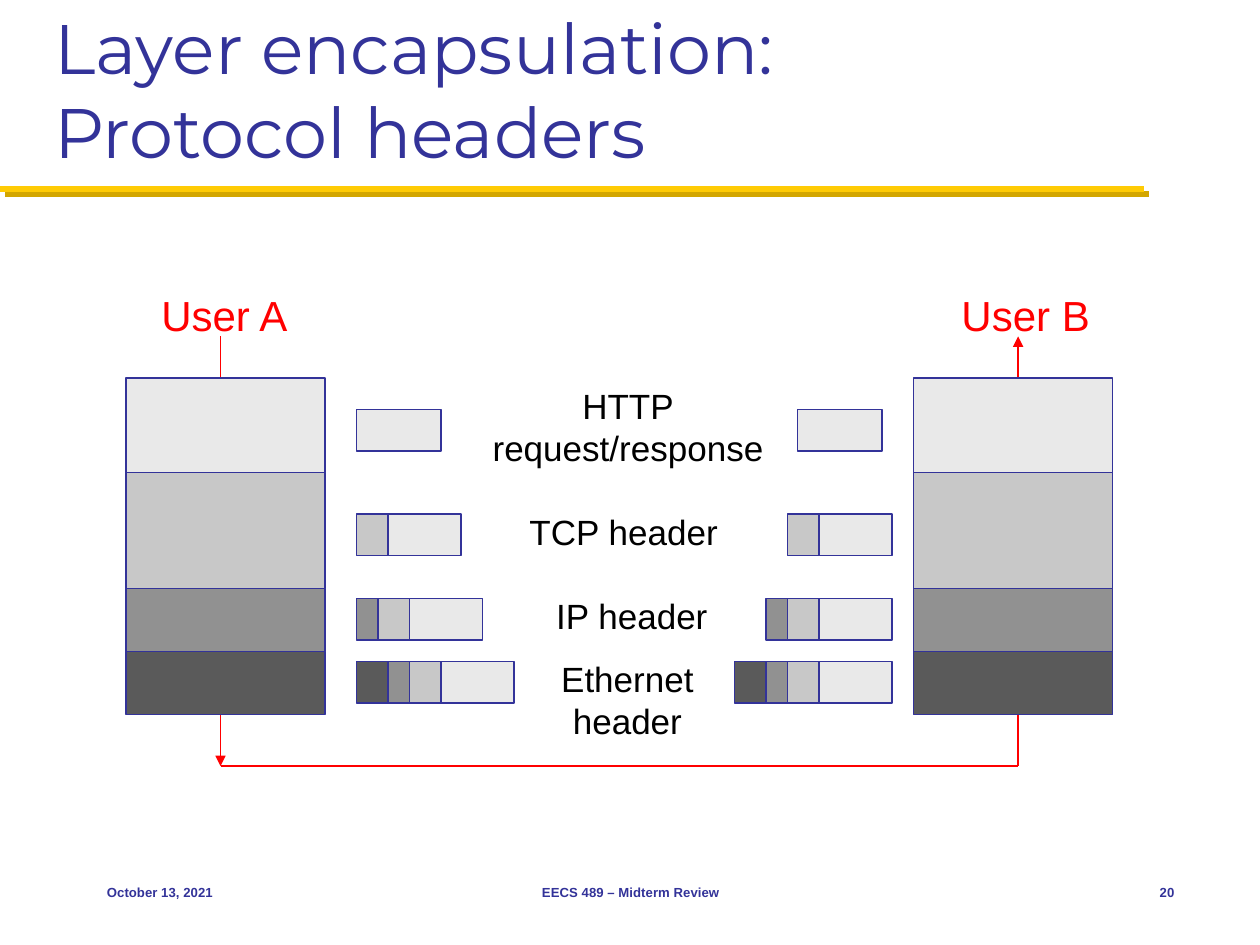
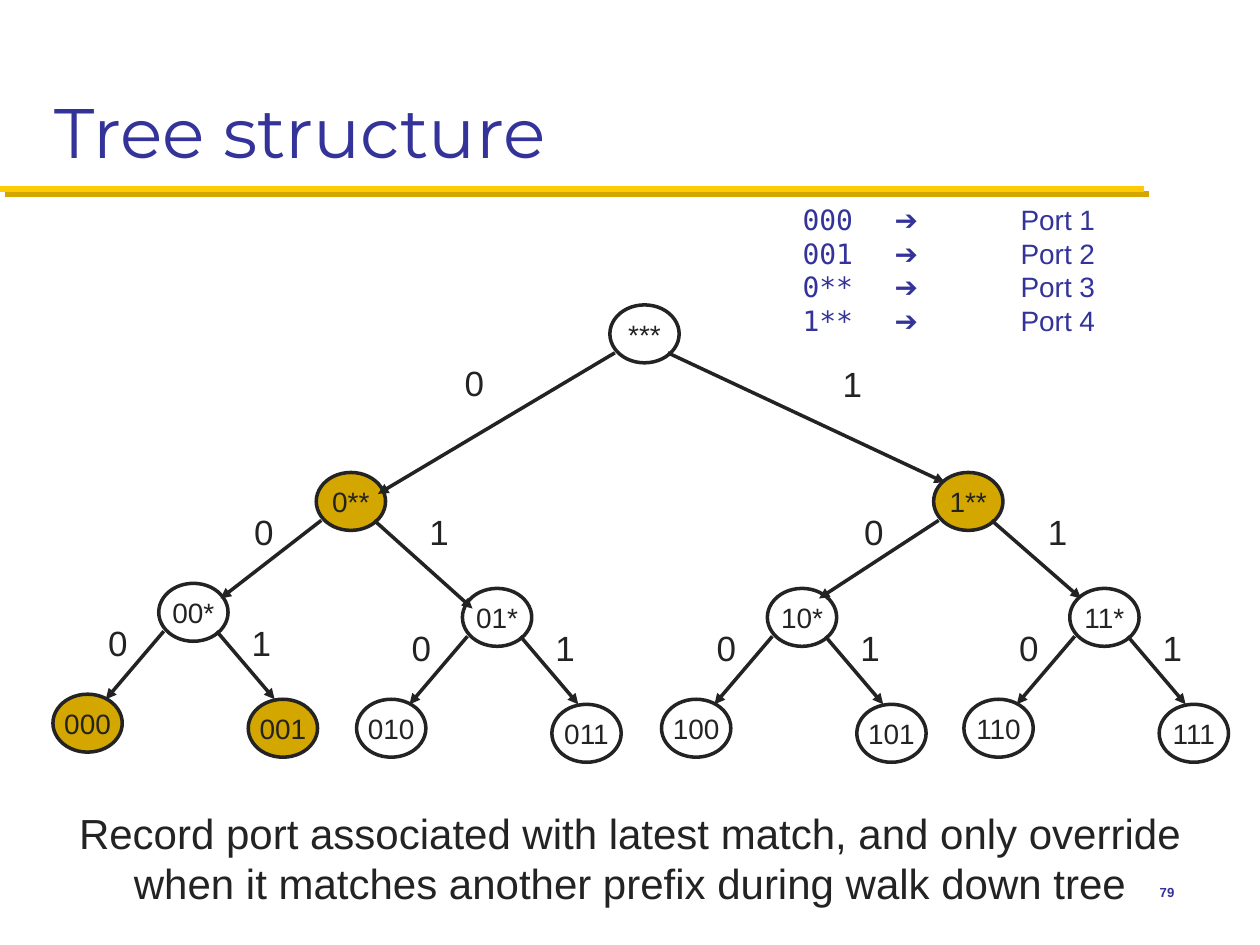
from dataclasses import dataclass
from typing import Any

from lxml import etree
from pptx import Presentation
from pptx import util as u
from pptx.dml.color import RGBColor
from pptx.enum import shapes, text
from pptx.oxml import ns

HUE = {
    "navy": "333399", "gold": "FFCB05", "dark": "D3A600", "red": "FF0000",
    "ink": "232323", "black": "000000", "white": "FFFFFF",
    "data": "E9E9E9", "tcp": "C8C8C8", "ip": "919191", "eth": "5A5A5A",
}
LEFT, MID, RIGHT = text.PP_ALIGN.LEFT, text.PP_ALIGN.CENTER, text.PP_ALIGN.RIGHT
KIND = shapes.MSO_SHAPE
TOP, CORE, BASE = text.MSO_ANCHOR.TOP, text.MSO_ANCHOR.MIDDLE, text.MSO_ANCHOR.BOTTOM


@dataclass
class Look:
    size: float
    hue: str
    align: Any = LEFT
    anchor: Any = TOP
    bold: bool = False
    wrap: bool = True
    face: str = "Arial"


@dataclass
class Layer:
    hue: str
    top: float
    tall: float
    span: float
    row: float


@dataclass
class Fork:
    name: str
    x: float
    y: float
    ends: tuple
    tags: tuple


def paint(hue: str) -> RGBColor:
    return RGBColor.from_string(HUE[hue])


def apply(item: Any, form: dict) -> None:
    for key, val in form.items():
        setattr(item, key, val)


def style(run: Any, look: Look) -> None:
    apply(run.font, {"size": u.Pt(look.size), "bold": look.bold, "name": look.face})
    run.font.color.rgb = paint(look.hue)


def write(shape: Any, words: str, look: Look) -> None:
    frame = shape.text_frame
    frame.text = words
    apply(frame, {"word_wrap": look.wrap, "vertical_anchor": look.anchor,
                  "auto_size": text.MSO_AUTO_SIZE.NONE})
    for para in frame.paragraphs:
        para.alignment = look.align
        for run in para.runs:
            style(run, look)


def spot(*dims: float) -> list:
    return [u.Inches(dim) for dim in dims]


def label(slide: Any, words: str, at: tuple, look: Look) -> None:
    write(slide.shapes.add_textbox(*spot(*at)), words, look)


def block(slide: Any, at: tuple, fill: str, edge: str = "navy",
          wide: float = 0.75, kind: Any = KIND.RECTANGLE) -> Any:
    shape = slide.shapes.add_shape(kind, *spot(*at))
    shape.shadow.inherit = False
    shape.fill.solid()
    shape.fill.fore_color.rgb = paint(fill)
    shape.line.color.rgb = paint(edge)
    shape.line.width = u.Pt(wide)
    return shape


def link(slide: Any, start: tuple, end: tuple, hue: str, wide: float,
         tip: bool = False) -> Any:
    line = slide.shapes.add_connector(shapes.MSO_CONNECTOR.STRAIGHT,
                                      *spot(*start, *end))
    line.line.color.rgb = paint(hue)
    line.line.width = u.Pt(wide)
    props = line._element.spPr
    if tip:
        etree.SubElement(props.find(ns.qn("a:ln")), ns.qn("a:tailEnd"), type="triangle")
    return etree.SubElement(props, ns.qn("a:effectLst"))


def start(deck: Any, words: str, page: str) -> Any:
    slide = deck.slides.add_slide(deck.slide_layouts[5])
    glow = link(slide, (0, 1.5), (9.08, 1.5), "gold", 3.5)
    cast = etree.SubElement(glow, ns.qn("a:outerShdw"), dist=str(u.Pt(4.2)),
                            dir="2700000", algn="ctr", rotWithShape="0")
    etree.SubElement(cast, ns.qn("a:srgbClr"), val=HUE["dark"])
    title = slide.shapes.title
    apply(title, dict(zip(("left", "top", "width", "height"),
                          spot(0.33, 0.17, 9.33, 1.25))))
    write(title, words, Look(40, "navy", anchor=BASE, face="Montserrat"))
    foot(slide, page, 8.75, 0.67, RIGHT)
    return slide


def foot(slide: Any, words: str, left: float, wide: float, align: Any) -> None:
    label(slide, words, (left, 6.83, wide, 0.5), Look(7.5, "navy", align, CORE, True))


LAYERS = [
    Layer("data", 3, 0.75, 0.58, 3.25),
    Layer("tcp", 3.75, 0.92, 0.25, 4.08),
    Layer("ip", 4.67, 0.5, 0.17, 4.75),
    Layer("eth", 5.17, 0.5, 0.25, 5.25),
]
LAP = 0.08


def packet(slide: Any, count: int, left: float) -> None:
    row = LAYERS[count].row
    stack = LAYERS[:count + 1]
    edge = left + sum(layer.span for layer in stack)
    for layer in stack:
        edge -= layer.span
        lap = 0 if layer is stack[-1] else LAP
        block(slide, (edge - lap, row, layer.span + lap, 0.33), layer.hue)


def layers(deck: Any) -> None:
    slide = start(deck, "Layer encapsulation:\vProtocol headers", "20")
    low, high, west, east = 6.08, 2.67, 1.75, 8.08
    link(slide, (west, high), (west, low), "red", 0.75, True)
    link(slide, (east, low), (east, high), "red", 0.75, True)
    link(slide, (west, low), (east, low), "red", 0.75)
    for left in (1, 7.25):
        for layer in LAYERS:
            block(slide, (left, layer.top, 1.58, layer.tall), layer.hue)
    for left in (2.83, 6.33):
        block(slide, (left, LAYERS[0].row, 0.67, 0.33), "data")
    for count in range(1, len(LAYERS)):
        size = sum(layer.span for layer in LAYERS[:count + 1])
        packet(slide, count, 2.83)
        packet(slide, count, 7.08 - size)
    note = Look(20, "black", MID, wrap=False)
    for words, at in (
        ("HTTP\nrequest/response", (3.8, 3, 2.37, 0.77)),
        ("TCP header", (4.07, 4, 1.76, 0.44)),
        ("IP header", (4.13, 4.67, 1.77, 0.44)),
        ("Ethernet\nheader", (4.35, 5.17, 1.26, 0.77)),
    ):
        label(slide, words, at, note)
    for words, left in (("User A", 1.17), ("User B", 7.53)):
        label(slide, words, (left, 2.25, 1.22, 0.51), Look(24, "red", MID, wrap=False))
    foot(slide, "October 13, 2021", 0.75, 2.08, LEFT)
    foot(slide, "EECS 489 – Midterm Review", 3.42, 3.17, MID)


HITS = {"0**", "1**", "000", "001"}
FORKS = [
    Fork("***", 4.84, 2.42, ((3, 3.92), (7.5, 3.83)), ((3.5, 2.82), (6.5, 2.83))),
    Fork("0**", 2.51, 3.75, ((1.75, 4.75), (3.75, 4.83)), ((1.83, 4), (3.22, 4))),
    Fork("1**", 7.41, 3.75, ((6.5, 4.75), (8.58, 4.75)), ((6.67, 4), (8.13, 4))),
]
TWIGS = [("00*", 1.26, 4.63), ("01*", 3.67, 4.67), ("10*", 6.09, 4.67), ("11*", 8.49, 4.67)]


def node(slide: Any, name: str, x: float, y: float) -> None:
    fill = "dark" if name in HITS else "white"
    oval = block(slide, (x, y, 0.55, 0.46), fill, "ink", 2, KIND.OVAL)
    write(oval, name, Look(16, "ink", MID, CORE, wrap=False))


def branch(slide: Any, fork: Fork) -> None:
    node(slide, fork.name, fork.x, fork.y)
    for bit, side, end, tag in zip("01", (0.04, 0.46), fork.ends, fork.tags):
        link(slide, (fork.x + side, fork.y + 0.38), end, "ink", 2, True)
        label(slide, bit, (*tag, 0.53, 0.43), Look(20, "ink", MID))


def twig(slide: Any, name: str, x: float, y: float) -> None:
    ends = ((x - 0.42, y + 0.92), (x + 0.92, y + 0.92))
    tags = ((x - 0.59, y + 0.25), (x + 0.55, y + 0.25))
    branch(slide, Fork(name, x, y, ends, tags))
    node(slide, name[:2] + "0", x - 0.84, y + 0.88)
    node(slide, name[:2] + "1", x + 0.71, y + 0.92)


def ports(slide: Any) -> None:
    box = slide.shapes.add_textbox(*spot(6, 1.56, 3.58, 1.19))
    frame = box.text_frame
    apply(frame, {"word_wrap": True, "margin_left": u.Inches(0.37)})
    for rank, code in enumerate(("000", "001", "0**", "1**"), 1):
        para = frame.paragraphs[0] if rank == 1 else frame.add_paragraph()
        tabs = etree.SubElement(para._p.get_or_add_pPr(), ns.qn("a:tabLst"))
        for stop in (0.73, 1.73):
            etree.SubElement(tabs, ns.qn("a:tab"), pos=str(u.Inches(stop)), algn="l")
        for words, face in ((f"{code}\t", "DejaVu Sans Mono"), (f"➔\tPort {rank}", "Arial")):
            run = para.add_run()
            run.text = words
            style(run, Look(16, "navy", face=face))


def tree(deck: Any) -> None:
    slide = start(deck, "Tree structure", "79")
    for name, x, y in TWIGS:
        twig(slide, name, x, y)
    for fork in reversed(FORKS):
        branch(slide, fork)
    ports(slide)
    label(slide, "Record port associated with latest match, and only override "
          "when it matches another prefix during walk down tree",
          (0.48, 6.36, 9.04, 0.91), Look(24, "ink", MID))


deck = Presentation()
apply(deck, {"slide_width": u.Inches(10), "slide_height": u.Inches(7.5)})
layers(deck)
tree(deck)
deck.save("out.pptx")
